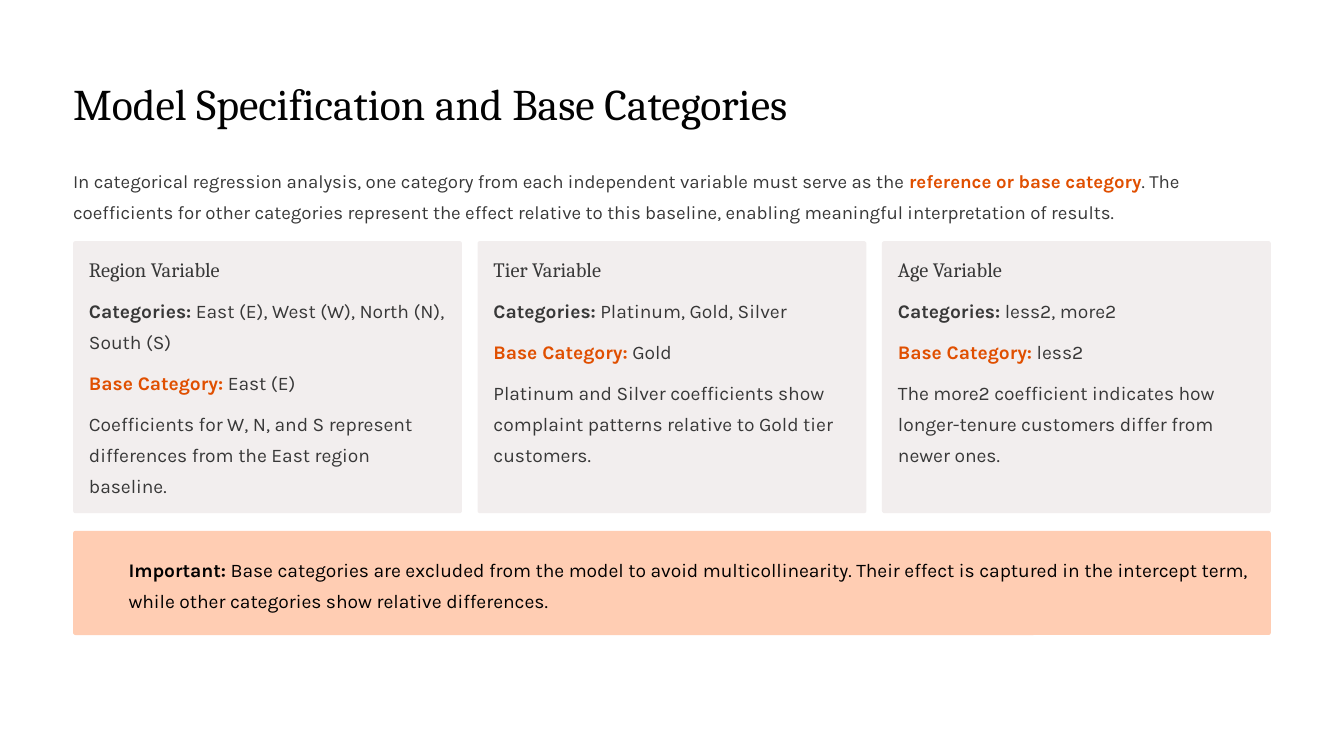
from dataclasses import dataclass

from pptx import Presentation
from pptx.dml.color import RGBColor
from pptx.enum.shapes import MSO_SHAPE
from pptx.enum.text import MSO_ANCHOR, PP_ALIGN
from pptx.slide import Slide
from pptx.util import Inches, Pt

ROUNDED = MSO_SHAPE.ROUNDED_RECTANGLE
TOP = MSO_ANCHOR.TOP
LEFT = PP_ALIGN.LEFT

COLORS = {
    "background": "FFFFFF",
    "title": "020202",
    "body": "383838",
    "accent": "E04F00",
    "card": "F2EEEE",
    "callout": "FFCDB3",
    "callout_text": "000000",
}
HEADING_FONT = "Cambria"
BODY_FONT = "Karla"

MARGIN = 0.87
CONTENT_WIDTH = 14.26
CARD_TOP, CARD_WIDTH, CARD_HEIGHT = 2.87, 4.63, 3.24
CARD_PADDING = 0.19
CARD_TEXT_WIDTH = 4.26
LINE_HEIGHT = 0.37
ROW_GAP = 0.12
CORNER = 0.03


@dataclass(frozen=True)
class Span:
    text: str
    color: str = "body"
    bold: bool = False


@dataclass(frozen=True)
class TextStyle:
    font: str
    size: float
    leading: float


@dataclass(frozen=True)
class Variable:
    name: str
    categories: str
    base: str
    note: str
    category_lines: int = 1


TITLE = TextStyle(HEADING_FONT, 37.5, 35)
CARD_HEADING = TextStyle(HEADING_FONT, 17.5, 21.5)
INTRO = TextStyle(BODY_FONT, 16, 26.5)
BODY = TextStyle(BODY_FONT, 16.5, 26.5)

VARIABLES = [
    Variable(
        "Region Variable",
        "East (E), West (W), North (N), South (S)",
        "East (E)",
        "Coefficients for W, N, and S represent differences from the East region baseline.",
        category_lines=2,
    ),
    Variable(
        "Tier Variable",
        "Platinum, Gold, Silver",
        "Gold",
        "Platinum and Silver coefficients show complaint patterns relative to Gold tier customers.",
    ),
    Variable(
        "Age Variable",
        "less2, more2",
        "less2",
        "The more2 coefficient indicates how longer-tenure customers differ from newer ones.",
    ),
]


def rgb(name: str) -> RGBColor:
    return RGBColor.from_string(COLORS[name])


def add_text(slide: Slide, left: float, top: float, width: float, height: float,
             style: TextStyle, *spans: Span) -> None:
    box = slide.shapes.add_textbox(Inches(left), Inches(top), Inches(width), Inches(height))
    frame = box.text_frame
    frame.margin_left = frame.margin_right = frame.margin_top = frame.margin_bottom = 0
    frame.word_wrap = True
    frame.vertical_anchor = TOP
    paragraph = frame.paragraphs[0]
    paragraph.alignment = LEFT
    paragraph.line_spacing = Pt(style.leading)
    for span in spans:
        run = paragraph.add_run()
        run.text = span.text
        run.font.name = style.font
        run.font.size = Pt(style.size)
        run.font.bold = span.bold
        run.font.color.rgb = rgb(span.color)


def add_panel(slide: Slide, left: float, top: float, width: float, height: float,
              color: str) -> None:
    panel = slide.shapes.add_shape(ROUNDED, Inches(left), Inches(top), Inches(width), Inches(height))
    panel.adjustments[0] = CORNER / height
    panel.shadow.inherit = False
    panel.fill.solid()
    panel.fill.fore_color.rgb = rgb(color)
    panel.line.fill.background()


def add_variable_card(slide: Slide, left: float, variable: Variable) -> None:
    add_panel(slide, left, CARD_TOP, CARD_WIDTH, CARD_HEIGHT, "card")
    text_left = left + CARD_PADDING
    add_text(slide, text_left, 3.05, 2.44, 0.31, CARD_HEADING, Span(variable.name))
    rows = [
        (variable.category_lines,
         [Span("Categories:", bold=True), Span(f" {variable.categories}")]),
        (1, [Span("Base Category:", "accent", True), Span(f" {variable.base}")]),
        (3, [Span(variable.note)]),
    ]
    top = 3.47
    for lines, spans in rows:
        height = lines * LINE_HEIGHT
        add_text(slide, text_left, top, CARD_TEXT_WIDTH, height, BODY, *spans)
        top += height + ROW_GAP


def main() -> None:
    prs = Presentation()
    prs.slide_width, prs.slide_height = Inches(16), Inches(9)
    slide = prs.slides.add_slide(prs.slide_layouts[6])
    slide.background.fill.solid()
    slide.background.fill.fore_color.rgb = rgb("background")

    add_text(slide, MARGIN, 1.05, 8.8, 0.49, TITLE,
             Span("Model Specification and Base Categories", "title"))
    add_text(
        slide, MARGIN, 1.92, CONTENT_WIDTH, 2 * LINE_HEIGHT, INTRO,
        Span("In categorical regression analysis, one category from each independent "
             "variable must serve as the "),
        Span("reference or base category", "accent", True),
        Span(". The coefficients for other categories represent the effect relative to "
             "this baseline, enabling meaningful interpretation of results."),
    )

    card_step = (CONTENT_WIDTH - CARD_WIDTH) / (len(VARIABLES) - 1)
    for index, variable in enumerate(VARIABLES):
        add_variable_card(slide, MARGIN + index * card_step, variable)

    add_panel(slide, MARGIN, 6.32, CONTENT_WIDTH, 1.24, "callout")
    add_text(
        slide, 1.53, 6.55, 13.42, 2 * LINE_HEIGHT, BODY,
        Span("Important:", "callout_text", True),
        Span(" Base categories are excluded from the model to avoid multicollinearity. "
             "Their effect is captured in the intercept term, while other categories "
             "show relative differences.", "callout_text"),
    )
    prs.save("out.pptx")


if __name__ == "__main__":
    main()
